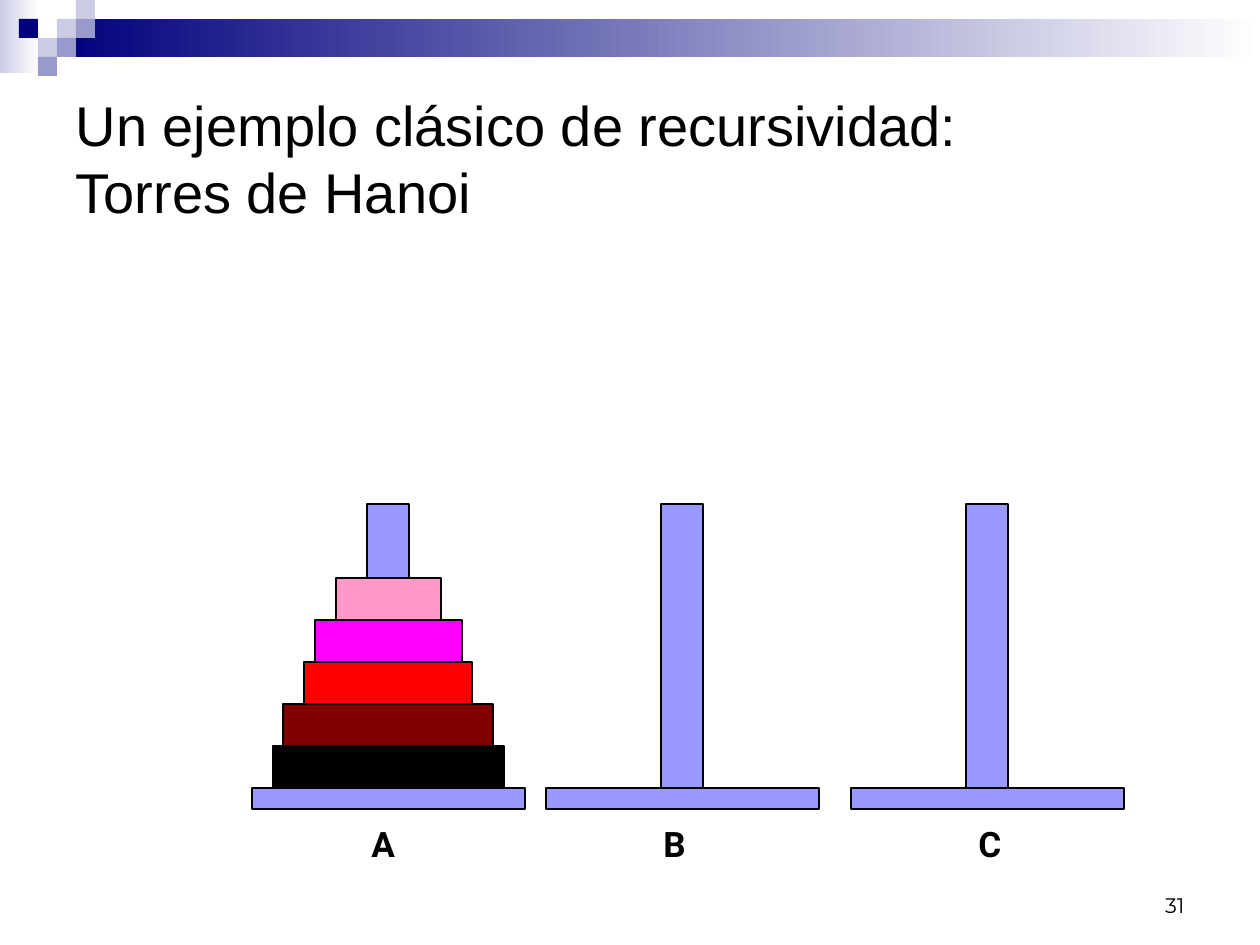
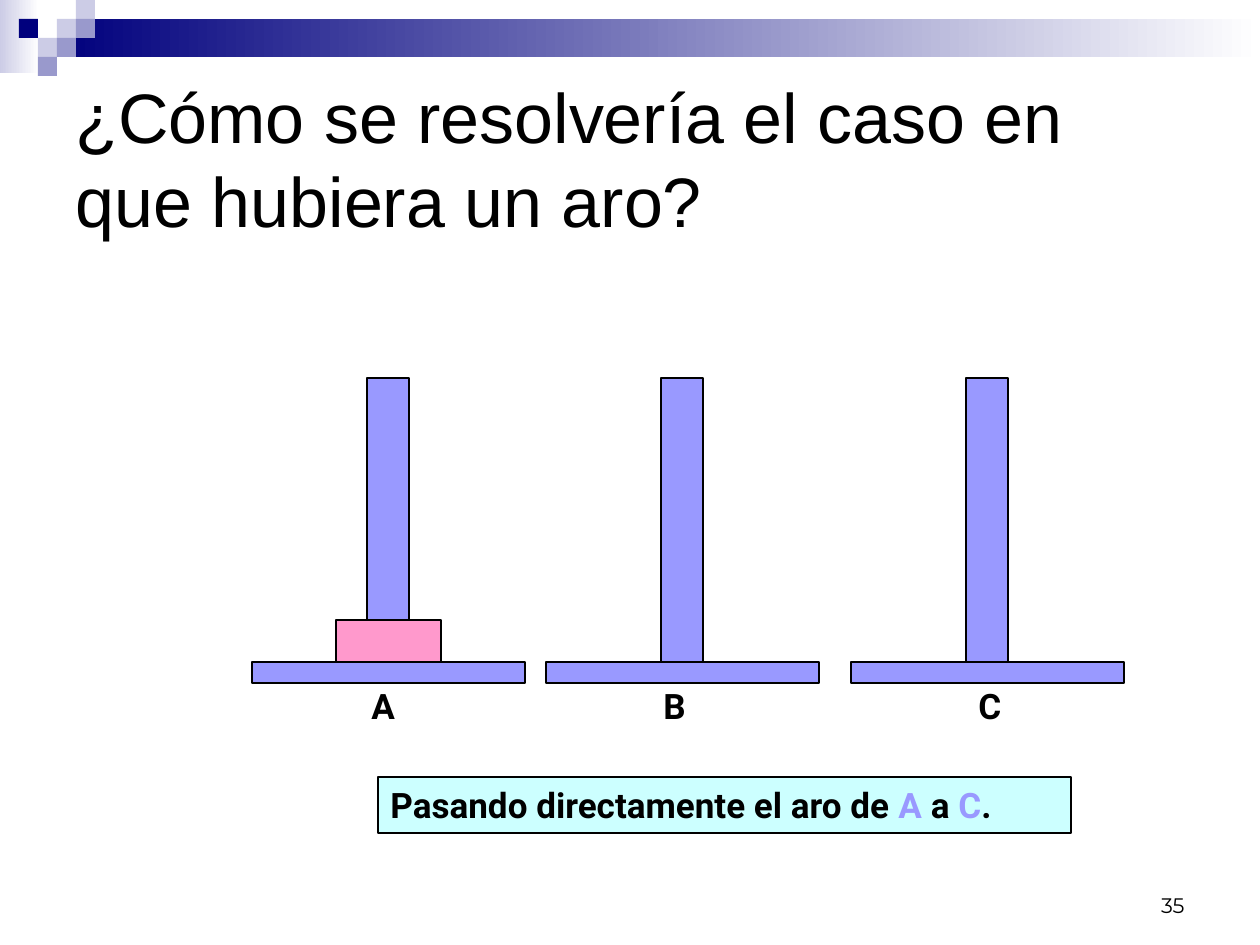
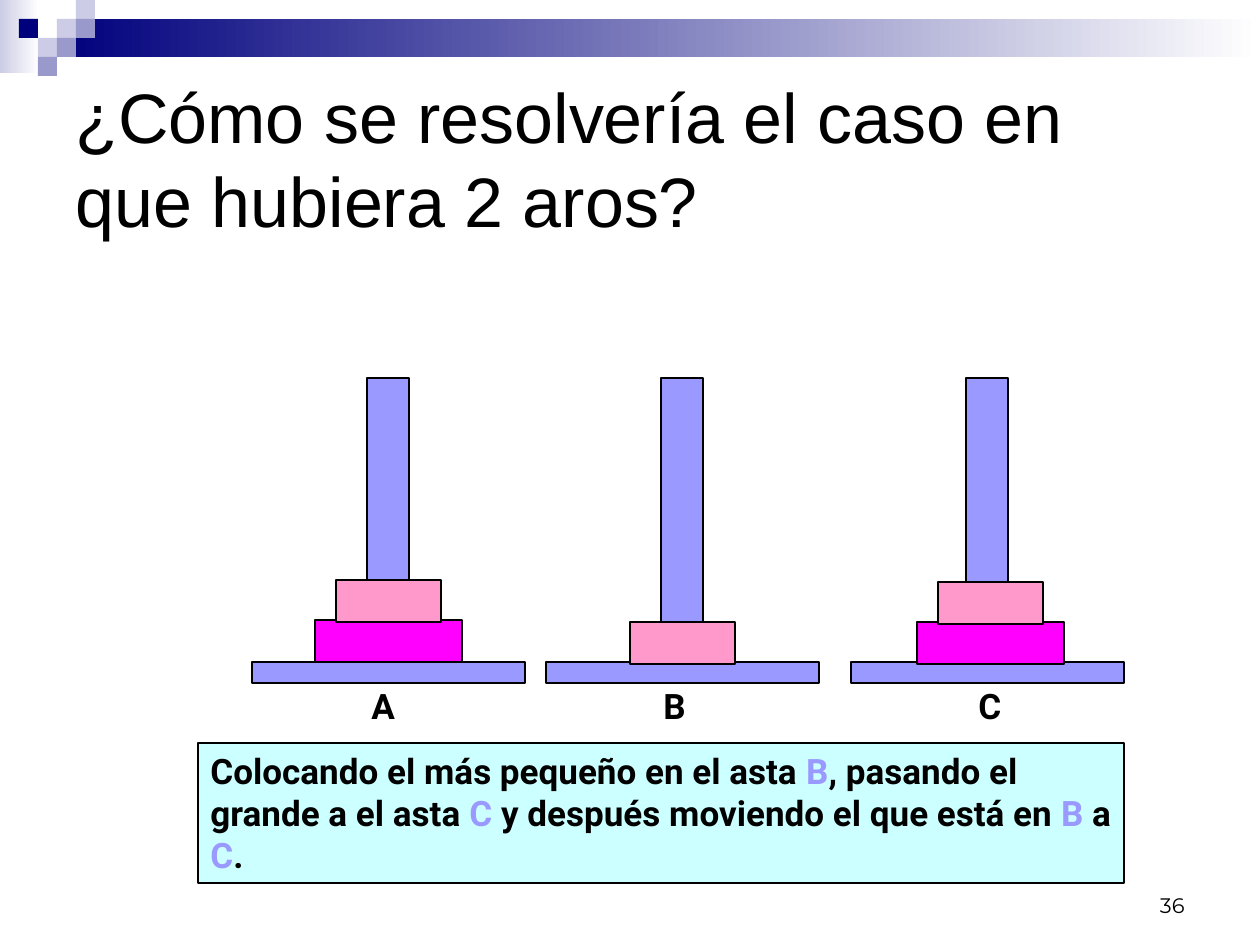
from pptx import Presentation
from pptx.dml.color import RGBColor
from pptx.enum.shapes import MSO_SHAPE
from pptx.enum.text import MSO_ANCHOR, MSO_AUTO_SIZE, PP_ALIGN
from pptx.util import Emu, Pt

RECTANGLE = MSO_SHAPE.RECTANGLE
TOP, MIDDLE, BOTTOM = MSO_ANCHOR.TOP, MSO_ANCHOR.MIDDLE, MSO_ANCHOR.BOTTOM
LEFT, RIGHT = PP_ALIGN.LEFT, PP_ALIGN.RIGHT
NO_FIT, GROW = MSO_AUTO_SIZE.NONE, MSO_AUTO_SIZE.SHAPE_TO_FIT_TEXT

PX_PER_INCH = 126
SLIDE_W, SLIDE_H = 1260, 945
TITLE_ONLY = 5

# Colours
BLACK, WHITE, NAVY = "000000", "FFFFFF", "00007D"
PALE, MUTED = "CCCCE6", "9999CC"
WOOD, NOTE_FILL = "9999FF", "CCFFFF"

# Corner mosaic: column, row, colour
CELL = 19
MOSAIC = [(3, 1, PALE), (4, 0, PALE), (4, 1, MUTED), (2, 2, PALE),
          (1, 1, NAVY), (3, 2, MUTED), (2, 3, MUTED)]

# Towers: name -> centre, left edge of label
TOWERS = {"A": (388, 359), "B": (682, 651), "C": (987, 966)}
BASE_W, BASE_H = 273, 21
PEG_W, PEG_H = 42, 284
RING_H = 42

# Rings: width, colour
PINK, MAGENTA, RED = (105, "FF99CC"), (147, "FF00FF"), (168, "FF0000")
MAROON, DARK = (210, "800000"), (231, BLACK)


def px(length):
    return Emu(round(length * 914400 / PX_PER_INCH))


def color(code):
    return RGBColor.from_string(code)


def style(paragraph, font, size, align=LEFT, bold=False):
    paragraph.alignment = align
    paragraph.font.name = font
    paragraph.font.size = Pt(size)
    paragraph.font.bold = bold
    paragraph.font.color.rgb = color(BLACK)


def add_rect(slide, x, y, w, h, fill, outlined=True):
    rect = slide.shapes.add_shape(RECTANGLE, px(x), px(y), px(w), px(h))
    rect.shadow.inherit = False
    rect.fill.solid()
    rect.fill.fore_color.rgb = color(fill)
    if outlined:
        rect.line.color.rgb = color(BLACK)
        rect.line.width = Pt(0.75)
    else:
        rect.line.fill.background()
    return rect


def add_fade(slide, x, y, w, h, start):
    fade = add_rect(slide, x, y, w, h, start, outlined=False)
    fade.fill.gradient()
    fade.fill.gradient_angle = 0
    for stop, code in zip(fade.fill.gradient_stops, (start, WHITE)):
        stop.color.rgb = color(code)


def add_text(slide, x, y, w, h, text, font, size, **look):
    box = slide.shapes.add_textbox(px(x), px(y), px(w), px(h))
    box.text_frame.text = text
    style(box.text_frame.paragraphs[0], font, size, **look)
    return box.text_frame


def add_slide(prs, title, title_size, number):
    """Slide with the shared band, mosaic, title and page number."""
    slide = prs.slides.add_slide(prs.slide_layouts[TITLE_ONLY])
    add_fade(slide, 0, 0, 39, 73, PALE)
    add_fade(slide, 3 * CELL, CELL, SLIDE_W - 3 * CELL, 2 * CELL, NAVY)
    for column, row, code in MOSAIC:
        add_rect(slide, column * CELL, row * CELL, CELL, CELL, code, outlined=False)

    heading = slide.shapes.title
    heading.left, heading.top, heading.width, heading.height = map(px, (63, 63, 1134, 189))
    frame = heading.text_frame
    frame.text = title
    frame.auto_size = NO_FIT
    frame.vertical_anchor = MIDDLE
    style(frame.paragraphs[0], "Arial", title_size)

    page = add_text(slide, 903, 861, 294, 63, str(number), "Montserrat", 12, align=RIGHT)
    page.word_wrap = True
    page.vertical_anchor = BOTTOM
    return slide


def add_towers(slide, floor, label_gap):
    """Three empty pegs whose bases have their top edge at floor."""
    for name, (center, label_x) in TOWERS.items():
        add_rect(slide, center - BASE_W // 2, floor, BASE_W, BASE_H, WOOD)
        add_rect(slide, center - PEG_W // 2, floor - PEG_H, PEG_W, PEG_H, WOOD)
        label = add_text(slide, label_x, floor + label_gap, 49, 54, name,
                         "Roboto", 20, bold=True)
        label.word_wrap = False
        label.auto_size = GROW


def stack_rings(slide, tower, floor, rings, step=RING_H, shift=0):
    """Rings from the bottom up, each one step above the last."""
    center = TOWERS[tower][0] + shift
    for level, (width, code) in enumerate(rings):
        add_rect(slide, center - width // 2, floor - RING_H - level * step,
                 width, RING_H, code)


def add_note(slide, x, y, w, h, text):
    """Note box; tower names between bars take the tower colour."""
    note = add_rect(slide, x, y, w, h, NOTE_FILL)
    frame = note.text_frame
    frame.word_wrap = True
    frame.auto_size = GROW
    frame.vertical_anchor = TOP
    paragraph = frame.paragraphs[0]
    style(paragraph, "Roboto", 20, bold=True)
    for index, part in enumerate(text.split("|")):
        run = paragraph.add_run()
        run.text = part
        run.font.color.rgb = color(WOOD if index % 2 else BLACK)


def main():
    prs = Presentation()
    prs.slide_width, prs.slide_height = px(SLIDE_W), px(SLIDE_H)

    # The puzzle
    puzzle = add_slide(prs, "Un ejemplo clásico de recursividad:\vTorres de Hanoi", 32, 31)
    floor = 788
    add_towers(puzzle, floor, label_gap=28)
    stack_rings(puzzle, "A", floor, [DARK, MAROON, RED, MAGENTA, PINK])

    # One ring
    floor = 662
    one_ring = add_slide(prs, "¿Cómo se resolvería el caso en que hubiera un aro?", 40, 35)
    add_towers(one_ring, floor, label_gap=16)
    stack_rings(one_ring, "A", floor, [PINK])
    add_note(one_ring, 378, 777, 693, 56, "Pasando directamente el aro de |A| a |C|.")

    # Two rings
    two_rings = add_slide(prs, "¿Cómo se resolvería el caso en que hubiera 2 aros?", 40, 36)
    add_towers(two_rings, floor, label_gap=16)
    stack_rings(two_rings, "A", floor, [MAGENTA, PINK], step=40)
    stack_rings(two_rings, "B", floor + 2, [PINK])
    stack_rings(two_rings, "C", floor + 2, [MAGENTA, PINK], step=40, shift=3)
    add_note(two_rings, 198, 743, 926, 140,
             "Colocando el más pequeño en el asta |B|, pasando el grande a el asta |C|"
             " y después moviendo el que está en |B| a |C|.")

    prs.save("out.pptx")


if __name__ == "__main__":
    main()
